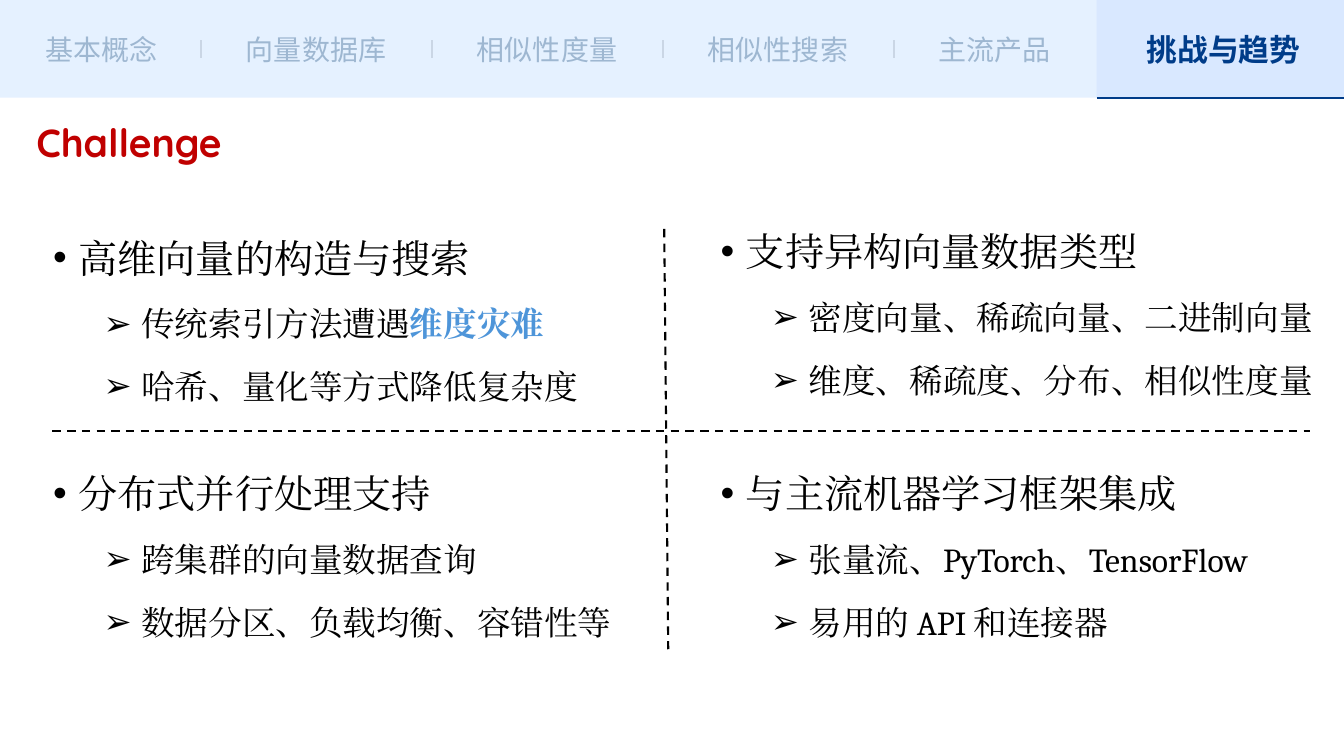
import pptx
import pptx.dml.color
import pptx.enum.dml
import pptx.enum.shapes
import pptx.enum.text
import pptx.oxml.ns
import pptx.util
from lxml import etree

Cm = pptx.util.Cm
Pt = pptx.util.Pt

COLORS = {
    "bar": "E5F1FF", "active": "D9E8FF", "navy": "003C89", "muted": "9EB7D1",
    "separator": "CAD6E5", "title": "C00000", "text": "000000", "accent": "4E95D9",
}
SANS, SERIF, ROUNDED = "Noto Sans CJK SC", "Cambria", "Quicksand"

TABS = ["基本概念", "向量数据库", "相似性度量", "相似性搜索", "主流产品"]
ACTIVE_TAB = "挑战与趋势"
TITLE = "Challenge"
# Each panel: left, top, width in cm, heading, points; a point is a list of (text, emphasised)
PANELS = [
    (1.09, 5.77, 15.09, "高维向量的构造与搜索",
     [[("传统索引方法遭遇", False), ("维度灾难", True)], [("哈希、量化等方式降低复杂度", False)]]),
    (17.91, 5.61, 15.52, "支持异构向量数据类型",
     [[("密度向量、稀疏向量、二进制向量", False)], [("维度、稀疏度、分布、相似性度量", False)]]),
    (1.09, 11.71, 17.48, "分布式并行处理支持",
     [[("跨集群的向量数据查询", False)], [("数据分区、负载均衡、容错性等", False)]]),
    (17.91, 11.71, 15.52, "与主流机器学习框架集成",
     [[("张量流、PyTorch、TensorFlow", False)], [("易用的 API 和连接器", False)]]),
]

SLIDE_WIDTH, SLIDE_HEIGHT = 33.87, 19.05
BAR_HEIGHT = 2.46
ACTIVE_LEFT = 27.64
PANEL_HEIGHT = 4.65
TAB_PITCH, TAB_MARGIN, FIRST_SEPARATOR = 5.82, 0.89, 5.06
TAB_CHARACTER, TAB_PADDING = 0.71, 0.51

presentation = pptx.Presentation()
presentation.slide_width = Cm(SLIDE_WIDTH)
presentation.slide_height = Cm(SLIDE_HEIGHT)
slide = presentation.slides.add_slide(presentation.slide_layouts[5])


def rgb(name):
    return pptx.dml.color.RGBColor.from_string(COLORS[name])


def add_text(paragraph, text, *, size, font=SERIF, color="text", bold=False):
    run = paragraph.add_run()
    run.text = text
    run.font.size = Pt(size)
    run.font.name = font
    run.font.bold = bold
    run.font.color.rgb = rgb(color)
    east_asian = etree.SubElement(run.font._element, pptx.oxml.ns.qn("a:ea"))
    east_asian.set("typeface", font)


def add_box(left, top, width, height, wrap=True):
    """Add a text box that grows with its text and return its frame."""
    frame = slide.shapes.add_textbox(Cm(left), Cm(top), Cm(width), Cm(height)).text_frame
    frame.word_wrap = wrap
    frame.auto_size = pptx.enum.text.MSO_AUTO_SIZE.SHAPE_TO_FIT_TEXT
    return frame


def add_rectangle(left, width, color):
    shape = slide.shapes.add_shape(
        pptx.enum.shapes.MSO_SHAPE.RECTANGLE, Cm(left), 0, Cm(width), Cm(BAR_HEIGHT))
    shape.shadow.inherit = False
    shape.fill.solid()
    shape.fill.fore_color.rgb = rgb(color)
    shape.line.fill.background()


def add_line(x1, y1, x2, y2, color, dashed=False):
    line = slide.shapes.add_connector(
        pptx.enum.shapes.MSO_CONNECTOR.STRAIGHT, Cm(x1), Cm(y1), Cm(x2), Cm(y2))
    line.line.width = Pt(1.5)
    line.line.color.rgb = rgb(color)
    if dashed:
        line.line.dash_style = pptx.enum.dml.MSO_LINE.DASH
    etree.SubElement(line._element.spPr, pptx.oxml.ns.qn("a:effectLst"))


def set_bullet(paragraph, character, margin, hanging):
    properties = paragraph._p.get_or_add_pPr()
    properties.set("marL", str(Cm(margin)))
    properties.set("indent", str(-Cm(hanging)))
    etree.SubElement(properties, pptx.oxml.ns.qn("a:buFont")).set("typeface", "Arial")
    etree.SubElement(properties, pptx.oxml.ns.qn("a:buChar")).set("char", character)


def add_navigation():
    add_rectangle(0, SLIDE_WIDTH, "bar")
    add_rectangle(ACTIVE_LEFT, SLIDE_WIDTH - ACTIVE_LEFT, "active")
    for index, label in enumerate(TABS):
        separator = FIRST_SEPARATOR + (index - 1) * TAB_PITCH
        left = separator + TAB_MARGIN if index else TAB_MARGIN
        width = len(label) * TAB_CHARACTER + TAB_PADDING
        frame = add_box(left, 0.69, width, 1.12, wrap=False)
        add_text(frame.paragraphs[0], label, size=20, font=SANS, color="muted")
        if index:
            add_line(separator, 1.02, separator, 1.47, "separator")
    frame = add_box(28.65, 0.64, 4.42, 1.19)
    add_text(frame.paragraphs[0], ACTIVE_TAB, size=22, font=SANS, color="navy", bold=True)
    add_line(ACTIVE_LEFT, BAR_HEIGHT, SLIDE_WIDTH, BAR_HEIGHT, "navy")


def add_title():
    title = slide.shapes.title
    title.left, title.top, title.width, title.height = Cm(0.66), Cm(2.84), Cm(5.74), Cm(1.63)
    title.text_frame.vertical_anchor = pptx.enum.text.MSO_ANCHOR.MIDDLE
    paragraph = title.text_frame.paragraphs[0]
    paragraph.alignment = pptx.enum.text.PP_ALIGN.LEFT
    paragraph.line_spacing = 0.9
    add_text(paragraph, TITLE, size=28, font=ROUNDED, color="title", bold=True)


def add_panel(left, top, width, heading, points):
    frame = add_box(left, top, width, PANEL_HEIGHT)
    paragraph = frame.paragraphs[0]
    set_bullet(paragraph, "•", 0.64, 0.64)
    add_text(paragraph, heading, size=28)
    for point in points:
        paragraph = frame.add_paragraph()
        paragraph.level = 1
        paragraph.space_before = Pt(16)
        set_bullet(paragraph, "➢", 2.22, 0.95)
        for text, emphasised in point:
            color = "accent" if emphasised else "text"
            add_text(paragraph, text, size=24, color=color, bold=emphasised)


add_navigation()
add_title()
for panel in PANELS:
    add_panel(*panel)
add_line(16.74, 5.77, 16.84, 16.36, "text", dashed=True)
add_line(1.32, 10.85, 33.02, 10.85, "text", dashed=True)

presentation.save("out.pptx")
